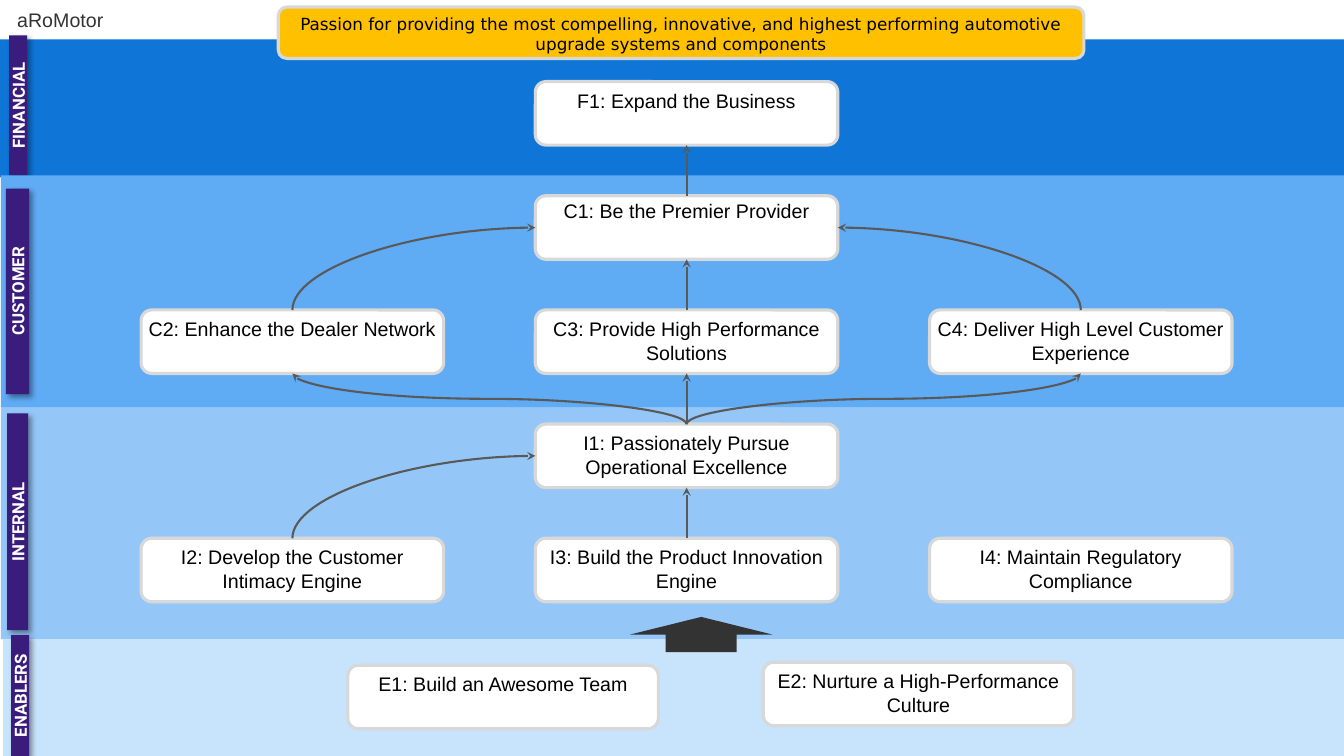
import dataclasses
import lxml.etree
import pptx
import pptx.dml.color
import pptx.enum.shapes
import pptx.enum.text
import pptx.oxml.ns
import pptx.util

Inches, Pt = pptx.util.Inches, pptx.util.Pt
SHAPE = pptx.enum.shapes.MSO_SHAPE
CONNECTOR = pptx.enum.shapes.MSO_CONNECTOR
ANCHOR = pptx.enum.text.MSO_ANCHOR
ALIGN = pptx.enum.text.PP_ALIGN
qn = pptx.oxml.ns.qn
TOP, LEFT, BOTTOM, RIGHT = range(4)  # connection sites of a card


@dataclasses.dataclass(frozen=True)
class Theme:
    label: str = "3A1C7C"
    card: str = "FFFFFF"
    border: str = "D8D8D8"
    mission: str = "FFC000"
    link: str = "595959"
    dark: str = "333333"
    text: str = "000000"
    font: str = "Arial"
    label_font: str = "Roboto"
    mission_font: str = "DejaVu Sans"
    body_size: int = 14
    small_size: int = 12


THEME = Theme()


def rgb(value):
    return pptx.dml.color.RGBColor.from_string(value)


def add_box(page, kind, box, fill, border=None):
    shape = page.shapes.add_shape(kind, *map(Inches, box))
    shape.shadow.inherit = False
    shape.fill.solid()
    shape.fill.fore_color.rgb = rgb(fill)
    if border:
        shape.line.color.rgb = rgb(border)
        shape.line.width = Pt(2.25)
    else:
        shape.line.fill.background()
    return shape


def write(shape, text, font, size, color, align=ALIGN.CENTER, anchor=ANCHOR.TOP,
          inset=0.0, bold=False):
    frame = shape.text_frame
    frame.word_wrap = True
    frame.vertical_anchor = anchor
    frame.margin_left = frame.margin_right = frame.margin_bottom = 0
    frame.margin_top = Inches(inset)
    para = frame.paragraphs[0]
    para.text = text
    para.alignment = align
    para.font.name, para.font.size, para.font.bold = font, Pt(size), bold
    para.font.color.rgb = rgb(color)


def add_label_shadow(shape):
    effects = shape._element.spPr.find(qn("a:effectLst"))
    shadow = lxml.etree.SubElement(effects, qn("a:outerShdw"), blurRad=str(Pt(4)),
                                   dist=str(Pt(3)), dir="2700000", rotWithShape="0")
    color = lxml.etree.SubElement(shadow, qn("a:srgbClr"), val="000000")
    lxml.etree.SubElement(color, qn("a:alpha"), val="40000")


def add_band(page, box, name, fill, label_box):
    """Draw a full-width band; label_box is relative to the band's corner."""
    add_box(page, SHAPE.RECTANGLE, box, fill)
    x, y, width, height = label_box
    # The label is laid out flat around its centre, then turned upright
    flat = (box[0] + x + (width - height) / 2, box[1] + y + (height - width) / 2,
            height, width)
    label = add_box(page, SHAPE.RECTANGLE, flat, THEME.label)
    label.rotation = 270
    add_label_shadow(label)
    write(label, name, THEME.label_font, THEME.small_size, "FFFFFF",
          anchor=ANCHOR.MIDDLE, bold=True)


def add_card(page, box, text, inset=0.04):
    card = add_box(page, SHAPE.ROUNDED_RECTANGLE, box, THEME.card, THEME.border)
    write(card, text, THEME.font, THEME.body_size, THEME.text, inset=inset)
    return card


def add_link(page, source, target, site, preset=None):
    """Link the top of source to a site of target; preset names a curve."""
    kind = CONNECTOR.CURVE if preset else CONNECTOR.STRAIGHT
    link = page.shapes.add_connector(kind, 0, 0, 0, 0)
    link.begin_connect(source, TOP)
    link.end_connect(target, site)
    link.line.color.rgb = rgb(THEME.link)
    link.line.width = Pt(1.5)
    properties = link._element.spPr
    lxml.etree.SubElement(properties.find(qn("a:ln")), qn("a:tailEnd"), type="stealth")
    lxml.etree.SubElement(properties, qn("a:effectLst"))
    if preset:
        # Curves leave sideways by default: turn them so they leave upwards
        rightward = link.end_x > link.begin_x
        left, top, width, height = link.left, link.top, link.width, link.height
        link.left, link.top = left + (width - height) // 2, top + (height - width) // 2
        link.width, link.height = height, width
        properties.find(qn("a:prstGeom")).set("prst", preset)
        frame = properties.find(qn("a:xfrm"))
        for flip in ("flipH", "flipV"):
            frame.attrib.pop(flip, None)
        frame.set("rot", str((270 if rightward else 90) * 60000))
        if not rightward:
            frame.set("flipH", "1")


def add_header(page, box):
    x, y, _, _ = box
    title = page.shapes.title
    title.left, title.top = Inches(x + 0.17), Inches(y + 0.08)
    title.width, title.height = Inches(1.48), Inches(0.24)
    write(title, "aRoMotor", THEME.font, THEME.body_size, THEME.dark, ALIGN.LEFT)
    mission = add_box(page, SHAPE.ROUNDED_RECTANGLE, (x + 2.76, y + 0.07, 7.99, 0.51),
                      THEME.mission, THEME.border)
    write(mission, "Passion for providing the most compelling, innovative, and highest "
          "performing automotive upgrade systems and components",
          THEME.mission_font, THEME.small_size, THEME.text, inset=0.04)


def add_goals(page, box):
    """Place the goals on a grid of three columns and five rows, then link them."""
    x, y, width, height = box
    card_width, card_height = 3, 0.63
    column_step, row_step = (width - card_width) / 2, (height - card_height) / 4
    goals = [
        ("F1: Expand the Business", 1, 0),
        ("C1: Be the Premier Provider", 1, 1),
        ("C2: Enhance the Dealer Network", 0, 2),
        ("C3: Provide High Performance Solutions", 1, 2),
        ("C4: Deliver High Level Customer Experience", 2, 2),
        ("I1: Passionately Pursue Operational Excellence", 1, 3),
        ("I2: Develop the Customer Intimacy Engine", 0, 4),
        ("I3: Build the Product Innovation Engine", 1, 4),
        ("I4: Maintain Regulatory Compliance", 2, 4),
    ]
    cards = {}
    for text, column, row in goals:
        place = (x + column * column_step, y + row * row_step, card_width, card_height)
        code = text[:2]
        cards[code] = add_card(page, place, text, inset=0 if code == "C1" else 0.04)
    quarter, wave = "curvedConnector2", "curvedConnector3"
    links = [
        ("C1", "F1", BOTTOM, None), ("C3", "C1", BOTTOM, None),
        ("I1", "C3", BOTTOM, None), ("I3", "I1", BOTTOM, None),
        ("C2", "C1", LEFT, quarter), ("C4", "C1", RIGHT, quarter),
        ("I2", "I1", LEFT, quarter),
        ("I1", "C2", BOTTOM, wave), ("I1", "C4", BOTTOM, wave),
    ]
    for source, target, site, preset in links:
        add_link(page, cards[source], cards[target], site, preset)


def add_enablers(page, box):
    x, y, _, _ = box
    add_box(page, SHAPE.UP_ARROW, (x + 6.22, y - 0.22, 1.41, 0.35), THEME.dark)
    add_card(page, (x + 3.42, y + 0.26, 3.08, 0.63), "E1: Build an Awesome Team")
    add_card(page, (x + 7.54, y + 0.23, 3.08, 0.63),
             "E2: Nurture a High-Performance Culture")


deck = pptx.Presentation()
deck.slide_width, deck.slide_height = Inches(13.33), Inches(7.5)
page = deck.slides.add_slide(deck.slide_layouts[5])

# Bands, from back to front
enablers = (0.03, 6.34, 13.3, 1.16)
bands = [
    ((0.01, 4.02, 13.32, 2.32), "INTERNAL", "94C7F8", (0.06, 0.08, 0.21, 2.15)),
    ((0, 0.39, 13.33, 1.37), "FINANCIAL", "0F75D7", (0.09, -0.04, 0.18, 1.39)),
    ((0.01, 1.74, 13.32, 2.3), "CUSTOMER", "5FACF5", (0.05, 0.13, 0.23, 2.04)),
    (enablers, "ENABLERS", "C8E3FC", (0.08, -0.04, 0.18, 1.2)),
]
for band in bands:
    add_band(page, *band)

# Content over the bands
add_header(page, (0, 0, 13.33, 0.6))
add_enablers(page, enablers)
add_goals(page, (1.4, 0.81, 10.82, 5.16))

deck.save("out.pptx")
